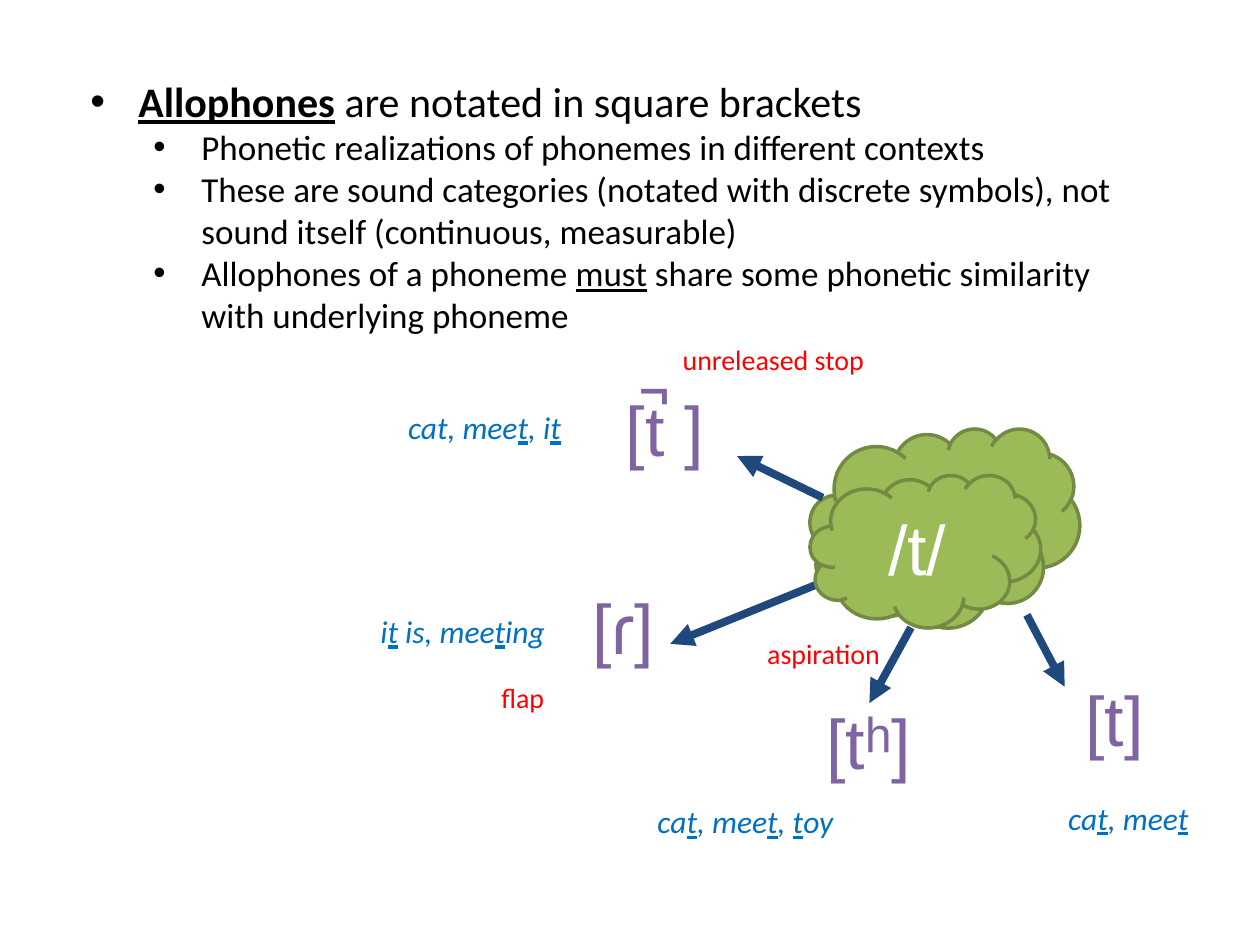
"""Build a slide that shows the allophones of the phoneme /t/."""
from lxml import etree
from pptx import Presentation
from pptx import util as u
from pptx.dml.color import RGBColor
from pptx.enum import shapes, text
from pptx.oxml.ns import qn

COLOURS = {"black": "000000", "white": "FFFFFF", "cloud": "9BBB59", "edge": "738A42",
           "allophone": "8064A2", "example": "0070C0", "note": "FF0000", "arrow": "1F497D"}

# Underscores enclose underlined letters.
BULLETS = [
    (0, "_Allophones_ are notated in square brackets"),
    (1, "Phonetic realizations of phonemes in different contexts"),
    (1, "These are sound categories (notated with discrete symbols), "
        "not sound itself (continuous, measurable)"),
    (1, "Allophones of a phoneme _must_ share some phonetic similarity with underlying phoneme"),
]
LEVELS = [(24, 0.38), (20, 0.88)]
HANG = 0.38
BULLET_AREA = (0.62, 0.55, 8.64, 2.19)

BACK_CLOUD = (6.43, 3.4, 2.14, 1.58)
FRONT_CLOUD = (6.43, 3.77, 1.83, 1.21)
PHONEME = "/t/"

ALLOPHONES = [
    ("[tʰ]", (6.32, 5.58, 1.15, 0.61)),
    ("[t]", (8.27, 5.35, 1.15, 0.7)),
    ("[t̚ ]", (4.7, 3.05, 1.15, 0.7)),
    ("[ɾ]", (4.37, 4.62, 1.15, 0.7)),
]
ARROWS = [
    (6.53, 3.95, 5.85, 3.62),
    (6.53, 4.62, 5.32, 5.11),
    (7.23, 4.98, 6.9, 5.58),
    (8.15, 4.88, 8.45, 5.45),
]
EXAMPLES = [
    ("ca_t_, mee_t_, _t_oy", (5.12, 6.32, 1.77, 0.4)),
    ("cat, mee_t_, i_t_", (3.14, 3.19, 1.56, 0.4)),
    ("ca_t_, mee_t_", (8.38, 6.29, 1.27, 0.4)),
    ("i_t_ is, mee_t_ing", (2.92, 4.81, 1.73, 0.4)),
]
NOTES = [
    ("unreleased stop", (5.32, 2.67, 1.84, 0.37)),
    ("flap", (3.88, 5.35, 0.59, 0.37)),
    ("aspiration", (5.99, 5, 1.22, 0.37)),
]


def inches(lengths):
    return [u.Inches(length) for length in lengths]


def colour(name):
    return RGBColor.from_string(COLOURS[name])


def write(para, words, size, name, face="Calibri", italic=False, bold_marked=False):
    para.font.size, para.font.name, para.font.italic = u.Pt(size), face, italic
    para.font.color.rgb = colour(name)
    for index, part in enumerate(words.split("_")):
        if part:
            span = para.add_run()
            span.text = part
            if index % 2:
                span.font.underline = True
                span.font.bold = bold_marked or None


def add_box(page, area):
    box = page.shapes.add_textbox(*inches(area))
    box.text_frame.word_wrap = True
    return box


def write_centred(box, words, name):
    box.text_frame.vertical_anchor = text.MSO_ANCHOR.MIDDLE
    para = box.text_frame.paragraphs[0]
    para.alignment = text.PP_ALIGN.CENTER
    write(para, words, 40, name, "Arial")


def add_cloud(page, area):
    cloud = page.shapes.add_shape(shapes.MSO_SHAPE.CLOUD, *inches(area))
    cloud.shadow.inherit = False
    cloud.fill.solid()
    cloud.fill.fore_color.rgb = colour("cloud")
    cloud.line.color.rgb = colour("edge")
    cloud.line.width = u.Pt(2)
    return cloud


def add_arrow(page, ends):
    arrow = page.shapes.add_connector(shapes.MSO_CONNECTOR.STRAIGHT, *inches(ends))
    arrow.line.color.rgb = colour("arrow")
    arrow.line.width = u.Pt(4.5)
    etree.SubElement(arrow.line._get_or_add_ln(), qn("a:tailEnd"), type="triangle")
    etree.SubElement(arrow._element.spPr, qn("a:effectLst"))


def add_bullets(page):
    frame = add_box(page, BULLET_AREA).text_frame
    for index, (level, words) in enumerate(BULLETS):
        para = frame.add_paragraph() if index else frame.paragraphs[0]
        size, indent = LEVELS[level]
        para.level = level
        write(para, words, size, "black", bold_marked=level == 0)
        props = para._p.get_or_add_pPr()
        props.set("marL", str(u.Inches(indent)))
        props.set("indent", str(-u.Inches(HANG)))
        marker = etree.Element(qn("a:buChar"), char="•")
        font = etree.Element(qn("a:buFont"), typeface="Arial")
        props.insert(0, marker)
        props.insert(0, font)


def main():
    deck = Presentation()
    deck.slide_width, deck.slide_height = inches((10, 7.5))
    page = deck.slides.add_slide(deck.slide_layouts[6])
    add_cloud(page, BACK_CLOUD)
    for words, area in ALLOPHONES:
        write_centred(add_box(page, area), words, "allophone")
    for ends in ARROWS:
        add_arrow(page, ends)
    write_centred(add_cloud(page, FRONT_CLOUD), PHONEME, "white")
    for labels, size, name in ((EXAMPLES, 18, "example"), (NOTES, 16, "note")):
        for words, area in labels:
            para = add_box(page, area).text_frame.paragraphs[0]
            write(para, words, size, name, italic=name == "example")
    add_bullets(page)
    deck.save("out.pptx")


if __name__ == "__main__":
    main()
